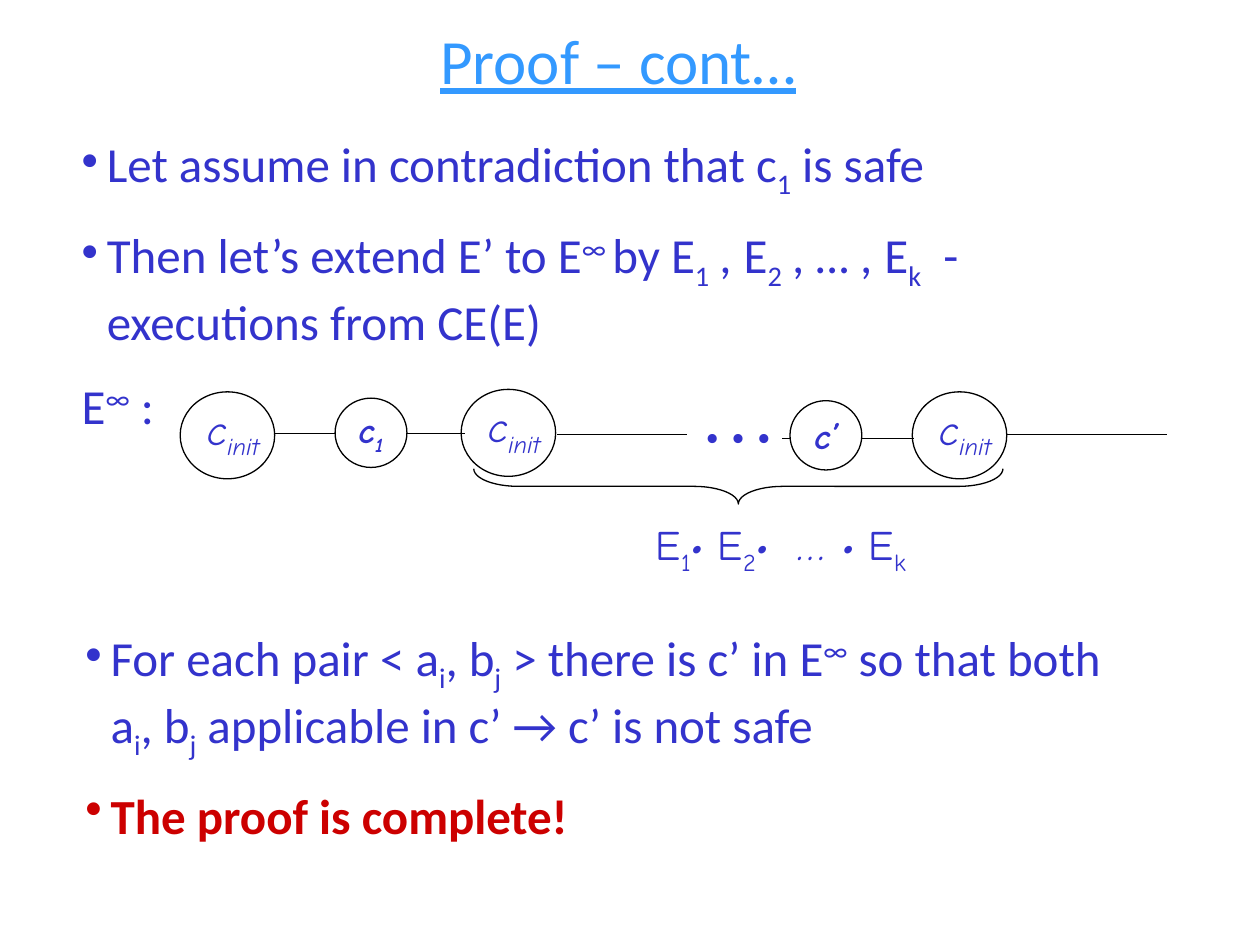
from pptx import Presentation
from pptx.dml.color import RGBColor
from pptx.enum.shapes import MSO_CONNECTOR, MSO_SHAPE
from pptx.enum.text import MSO_ANCHOR, MSO_AUTO_SIZE, PP_ALIGN
from pptx.oxml.ns import qn
from pptx.util import Inches, Pt
from lxml.etree import SubElement

WIDE, HIGH = Inches(10), Inches(7.5)
COLS, ROWS = 100, 75
BLUE, SKY, RED, BLACK, WHITE = "3333CC", "3399FF", "CC0000", "000000", "FFFFFF"
BASE = {"_": "-25000", "^": "30000"}
BODY = {"name": "Calibri", "size": Pt(28)}
COMIC = {"name": "Comic Neue", "size": Pt(24)}
LABEL = {"name": "Comic Neue", "size": Pt(20), "bold": True, "italic": True}
FIT = {"word_wrap": True, "auto_size": MSO_AUTO_SIZE.SHAPE_TO_FIT_TEXT}
MID = {"word_wrap": True, "vertical_anchor": MSO_ANCHOR.MIDDLE}


def tint(code):
    return RGBColor.from_string(code)


def style(item, form):
    for key, value in form.items():
        setattr(item, key, value)


def place(*cells):
    return [int(cell * (HIGH / ROWS if i % 2 else WIDE / COLS))
            for i, cell in enumerate(cells)]


def write(para, text, form, color=BLUE):
    for part in text.split("|"):
        mark = part[0] if part[0] in "_^/" else ""
        run = para.add_run()
        run.text = part[len(mark):]
        style(run.font, form)
        run.font.color.rgb = tint(color)
        if mark == "/":
            run.font.italic = True
        elif mark:
            run.font._element.set("baseline", BASE[mark])


def space(para):
    gap = SubElement(para._p.get_or_add_pPr(), qn("a:spcBef"))
    SubElement(gap, qn("a:spcPct")).set("val", "50000")


def hang(para, dot):
    props = para._p.get_or_add_pPr()
    props.set("marL", str(Inches(0.2)))
    props.set("indent", str(-Inches(0.2)))
    if dot:
        SubElement(props, qn("a:buChar")).set("char", "•")


def frame(slide, cells, form):
    box = slide.shapes.add_textbox(*place(*cells))
    style(box.text_frame, form)
    return box.text_frame


def label(slide, cells, text, form):
    para = frame(slide, cells, FIT).paragraphs[0]
    para.alignment = PP_ALIGN.CENTER
    space(para)
    write(para, text, form)


def points(slide, cells, rows):
    area = frame(slide, cells, FIT)
    for i, (text, dot, form, color) in enumerate(rows):
        para = area.add_paragraph() if i else area.paragraphs[0]
        space(para)
        hang(para, dot)
        write(para, text, form, color)


def outline(slide, kind, cells, fill=None):
    shape = slide.shapes.add_shape(kind, *place(*cells))
    shape.shadow.inherit = False
    if fill:
        shape.fill.solid()
        shape.fill.fore_color.rgb = tint(fill)
    else:
        shape.fill.background()
    shape.line.color.rgb = tint(BLACK)
    shape.line.width = Pt(0.75)
    return shape


def start(slide, left, top):
    outline(slide, MSO_SHAPE.OVAL, (left, top, 7.5, 6.9))
    label(slide, (left + 0.2, top + 0.4, 8, 5), "c|_init", {**COMIC, "italic": True})


def state(slide, left, top, text):
    disk = outline(slide, MSO_SHAPE.OVAL, (left, top, 5.7, 5.5), WHITE)
    style(disk.text_frame, {**MID, "word_wrap": False})
    para = disk.text_frame.paragraphs[0]
    para.alignment = PP_ALIGN.CENTER
    write(para, text, LABEL)


def link(slide, left, right, row):
    ends = place(left, row, right, row)
    line = slide.shapes.add_connector(MSO_CONNECTOR.STRAIGHT, *ends)
    line.line.color.rgb = tint(BLACK)
    line.line.width = Pt(0.75)
    SubElement(line._element.spPr, qn("a:effectLst"))


def title(slide, text):
    para = frame(slide, (0.8, 0, 96.5, 9.4), MID).paragraphs[0]
    para.alignment = PP_ALIGN.CENTER
    write(para, text, {"name": "Calibri", "size": Pt(36), "underline": True}, SKY)


def chain(slide):
    for left, top in ((14.3, 31.1), (36.6, 30.9), (72.4, 31.1)):
        start(slide, left, top)
    for left, right, row in ((21.8, 36.9, 34.4), (44.2, 54.5, 34.5),
                             (79.9, 92.6, 34.5), (62.1, 72.5, 34.8)):
        link(slide, left, right, row)
    state(slide, 26.6, 31.6, "c|_1")
    state(slide, 62.7, 31.8, "c’")
    label(slide, (54.3, 28.5, 8.6, 8.3), "…",
          {"name": "Times New Roman", "size": Pt(44)})
    brace = outline(slide, MSO_SHAPE.RIGHT_BRACE, (57.2, 17.6, 2.8, 42))
    brace.rotation = 90
    brace.adjustments[0] = 1.26
    label(slide, (47.1, 40.7, 30.4, 5), "E|_1|/• |E|_2|/•  … • |E|_k ", COMIC)


def main():
    deck = Presentation()
    style(deck, {"slide_width": WIDE, "slide_height": HIGH})
    slide = deck.slides.add_slide(deck.slide_layouts[6])
    title(slide, "Proof – cont…")
    points(slide, (5.5, 10.1, 86.2, 24.4), (
        ("Let assume in contradiction that c|_1| is safe", True, BODY, BLUE),
        ("Then let’s extend E’ to E|^∞ |by E|_1|/ , |E|_2|/ , … , |E|_k"
         "|  - executions from CE(E)", True, BODY, BLUE),
        ("E|^∞| :", False, BODY, BLUE)))
    points(slide, (5.8, 49.3, 86.2, 17.4), (
        ("For each pair < a|_i|, b|_j| > there is c’ in E|^∞| so that both a|_i"
         "|, b|_j| applicable in c’ → c’ is not safe", True, BODY, BLUE),
        ("The proof is complete!", True, {**BODY, "bold": True}, RED)))
    chain(slide)
    deck.save("out.pptx")


if __name__ == "__main__":
    main()
